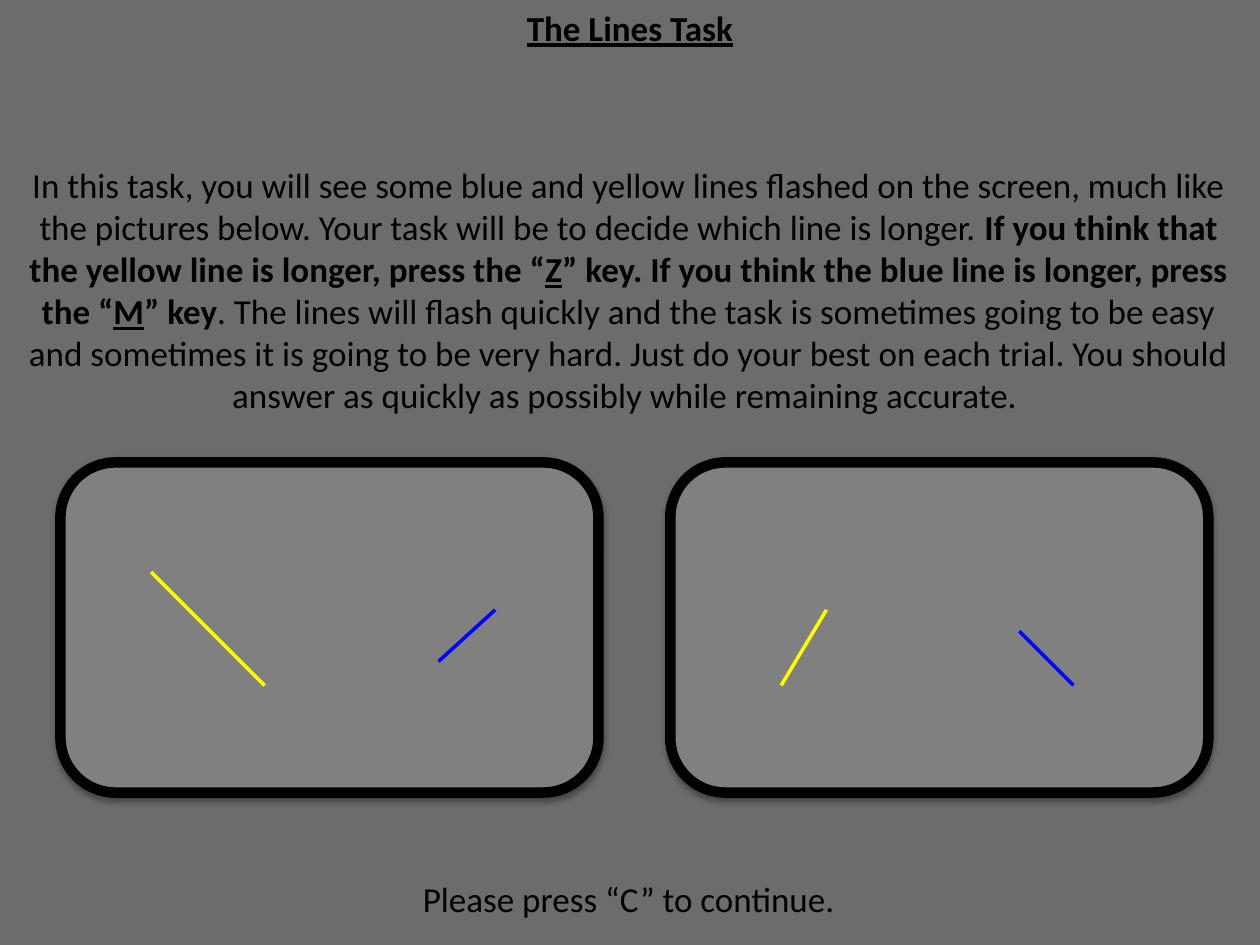
"""Build the instruction slide for the Lines Task."""
from lxml import etree
from pptx import Presentation
from pptx.dml.color import RGBColor
from pptx.enum.shapes import MSO_CONNECTOR as CONN, MSO_SHAPE as SHAPE
from pptx.enum.text import MSO_ANCHOR as ANCHOR, PP_ALIGN as ALIGN
from pptx.oxml import parse_xml
from pptx.oxml.ns import nsdecls, qn
from pptx.util import Inches, Pt

THEME = {
    "font": "Calibri", "size": Pt(20),
    "background": RGBColor(0x6C, 0x6C, 0x6C), "screen": RGBColor(0x80, 0x80, 0x80),
    "ink": RGBColor(0, 0, 0),
    "yellow": RGBColor(0xFF, 0xFF, 0), "blue": RGBColor(0, 0, 0xFF),
}
SHADOW = (f'<a:effectLst {nsdecls("a")}><a:outerShdw blurRad="39370" dist="22860" dir="5400000" '
          'rotWithShape="0"><a:srgbClr val="000000"><a:alpha val="35000"/></a:srgbClr>'
          '</a:outerShdw></a:effectLst>')


def add_run(p, text, **formats):
    r = p.add_run()
    r.text = text
    r.font.color.rgb = THEME["ink"]
    for name, value in {"name": THEME["font"], "size": THEME["size"], **formats}.items():
        setattr(r.font, name, value)


prs = Presentation()
prs.slide_width, prs.slide_height = Inches(10), Inches(7.5)
s = prs.slides.add_slide(prs.slide_layouts[5])
s.background.fill.solid()
s.background.fill.fore_color.rgb = THEME["background"]

title = s.shapes.title
title.left, title.top, title.width, title.height = (Inches(v) for v in (0, 0, 10, 0.44))
body = s.shapes.add_textbox(Inches(0.06), Inches(1.25), Inches(9.86), Inches(6.16))
for sp in (title, body):
    sp.text_frame.word_wrap = True
    sp.text_frame.vertical_anchor = ANCHOR.TOP

p = title.text_frame.paragraphs[0]
p.alignment = ALIGN.CENTER
add_run(p, "The Lines Task", bold=True, underline=True)

tf = body.text_frame
p = tf.paragraphs[0]
p.alignment = ALIGN.CENTER
for text, bold, underline in (
    ("In this task, you will see some blue and yellow lines flashed on the screen, "
     "much like the pictures below. Your task will be to decide which line is longer. ", False, False),
    ("If you think that the yellow line is longer, press the “", True, False),
    ("Z", True, True),
    ("” key. If you think the blue line is longer, press the “", True, False),
    ("M", True, True),
    ("” key", True, False),
    (". The lines will flash quickly and the task is sometimes going to be easy and "
     "sometimes it is going to be very hard. Just do your best on each trial. You should "
     "answer as quickly as possibly while remaining accurate. ", False, False),
):
    add_run(p, text, bold=bold, underline=underline)
p = tf.add_paragraph()
p.alignment = ALIGN.CENTER
p.space_before = Pt(264)
add_run(p, "Please press “C” to continue.")

screens = (
    (0.48, {"yellow": (1.2, 4.54, 2.1, 5.44), "blue": (3.93, 4.84, 3.48, 5.25)}),
    (5.32, {"yellow": (6.56, 4.84, 6.2, 5.44), "blue": (8.09, 5.01, 8.52, 5.44)}),
)
for left, lines in screens:
    screen = s.shapes.add_shape(SHAPE.ROUNDED_RECTANGLE, Inches(left), Inches(3.67),
                                Inches(4.27), Inches(2.62))
    screen.fill.solid()
    screen.fill.fore_color.rgb = THEME["screen"]
    screen.line.color.rgb = THEME["ink"]
    screen.line.width = Pt(6)
    screen.element.spPr.append(parse_xml(SHADOW))
    for color, ends in lines.items():
        line = s.shapes.add_connector(CONN.STRAIGHT, *(Inches(v) for v in ends))
        line.line.color.rgb = THEME[color]
        line.line.width = Pt(2)
        etree.SubElement(line.element.spPr, qn("a:effectLst"))

prs.save("out.pptx")
